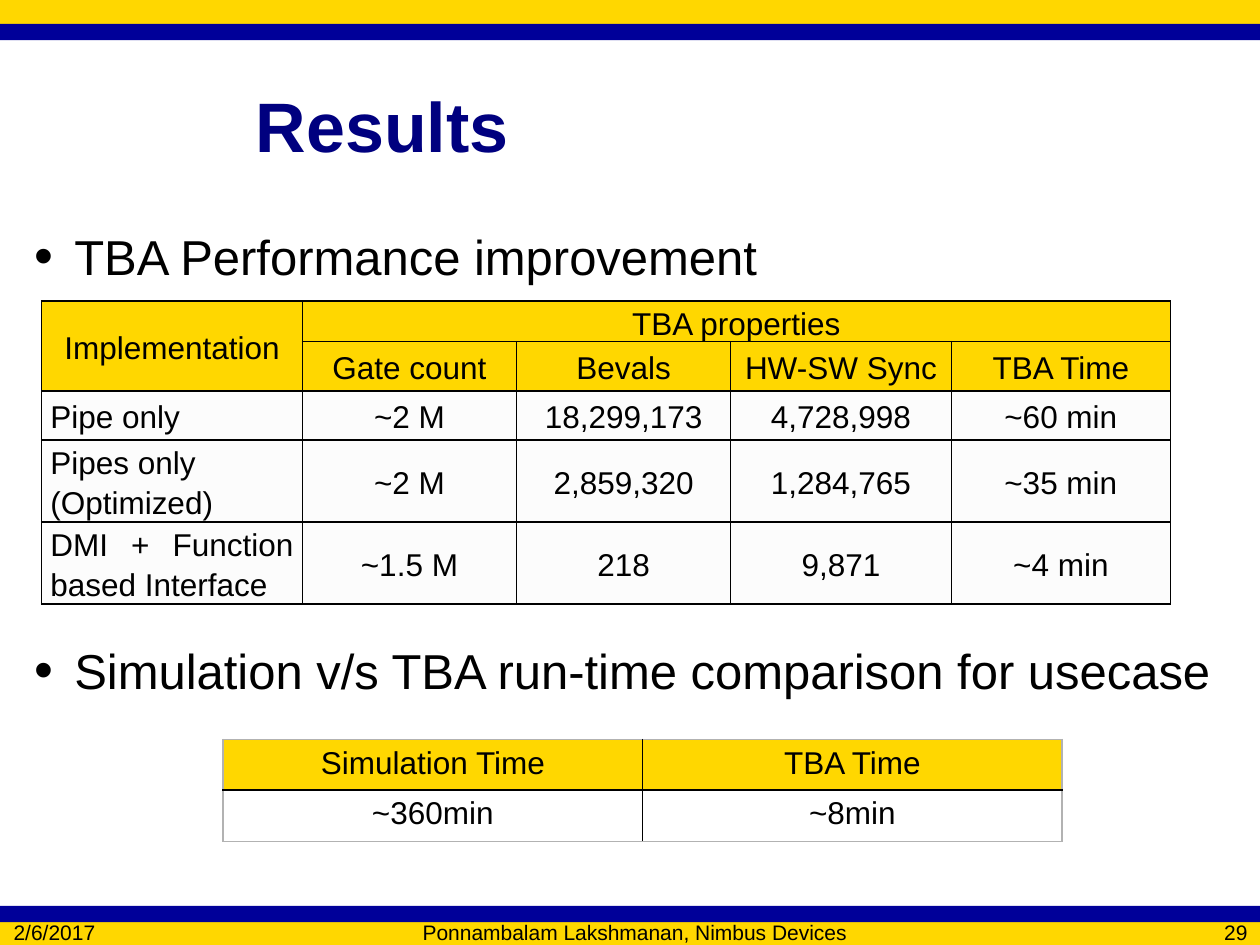
"""Build the Results slide with two comparison tables."""
from lxml.etree import SubElement
from pptx import Presentation
from pptx.dml.color import RGBColor
from pptx.enum.shapes import MSO_SHAPE
from pptx.enum.text import MSO_ANCHOR, MSO_AUTO_SIZE, PP_ALIGN
from pptx.oxml import parse_xml
from pptx.oxml.ns import nsdecls, qn
from pptx.util import Inches, Pt

HUES = {"gold": "FFD700", "blue": "000099", "navy": "00007F",
        "black": "000000", "pale": "FCFCFC", "gray": "B2B2B2"}
BANDS = [(0, 0.19, "gold"), (0.19, 0.13, "blue"),
         (7.31, 0.19, "gold"), (7.19, 0.13, "blue")]
TITLE = "Results"
POINTS = [("TBA Performance improvement", 3),
          ("Simulation v/s TBA run-time comparison for usecase", 203)]
FOOTER = [("2/6/2017", 0.01, 1.16, PP_ALIGN.LEFT),
          ("Ponnambalam Lakshmanan, Nimbus Devices", 1.25, 7.58, PP_ALIGN.CENTER),
          ("29", 9, 1, PP_ALIGN.RIGHT)]
PERF = {
    "at": (0.33, 2.39), "cols": [2.07, 1.7, 1.7, 1.75, 1.74],
    "rows": [0.32, 0.39, 0.39, 0.65, 0.65], "heads": 2,
    "body": "pale", "edge": "black",
    "data": [
        ["Implementation", "TBA properties", "", "", ""],
        ["", "Gate count", "Bevals", "HW-SW Sync", "TBA Time"],
        ["Pipe only", "~2 M", "18,299,173", "4,728,998", "~60 min"],
        ["Pipes only (Optimized)", "~2 M", "2,859,320", "1,284,765", "~35 min"],
        ["DMI + Function based Interface", "~1.5 M", "218", "9,871", "~4 min"],
    ],
}
TIMES = {
    "at": (1.77, 5.87), "cols": [3.33, 3.33], "rows": [0.38, 0.41],
    "heads": 1, "body": None, "edge": "gray",
    "data": [["Simulation Time", "TBA Time"], ["~360min", "~8min"]],
}


def color(name):
    return RGBColor.from_string(HUES[name])


def place(shape, left, top, width, height):
    shape.left, shape.top = Inches(left), Inches(top)
    shape.width, shape.height = Inches(width), Inches(height)


def style(para, size, hue="black", bold=False, align=None):
    para.alignment = align
    for run in para.runs:
        font = run.font
        font.name, font.size, font.bold = "Arial", Pt(size), bold
        font.color.rgb = color(hue)


def bullet(para):
    props = para._p.get_or_add_pPr()
    props.set("marL", str(Inches(0.32)))
    props.set("indent", str(-Inches(0.32)))
    tint = SubElement(props, qn("a:buClr"))
    SubElement(tint, qn("a:srgbClr"), val=HUES["black"])
    SubElement(props, qn("a:buSzPct"), val="110000")
    SubElement(props, qn("a:buFont"), typeface="Arial")
    SubElement(props, qn("a:buChar"), char="•")


def border(cell, edges):
    props = cell._tc.get_or_add_tcPr()
    for side, hue in edges.items():
        props.append(parse_xml(
            f'<a:ln{side} {nsdecls("a")} w="{Pt(1)}"><a:solidFill>'
            f'<a:srgbClr val="{HUES[hue]}"/></a:solidFill></a:ln{side}>'))


def grid(slide, info):
    cols, rows, edge = info["cols"], info["rows"], info["edge"]
    sizes = [*info["at"], sum(cols), sum(rows)]
    table = slide.shapes.add_table(
        len(rows), len(cols), *map(Inches, sizes)).table
    table.first_row = table.horz_banding = False
    for col, width in zip(table.columns, cols):
        col.width = Inches(width)
    for row, height in zip(table.rows, rows):
        row.height = Inches(height)
    for r, line in enumerate(info["data"]):
        for c, text in enumerate(line):
            cell = table.cell(r, c)
            border(cell, {
                "L": "black" if c else edge,
                "R": "black" if c < len(cols) - 1 else edge,
                "T": "black" if r else edge,
                "B": "black" if r < len(rows) - 1 else edge})
            fill = "gold" if r < info["heads"] else info["body"]
            if fill:
                cell.fill.solid()
                cell.fill.fore_color.rgb = color(fill)
            else:
                cell.fill.background()
            cell.text_frame.text = text
            style(cell.text_frame.paragraphs[0], 18, align=PP_ALIGN.CENTER)
    return table


def main():
    deck = Presentation()
    deck.slide_width, deck.slide_height = Inches(10), Inches(7.5)
    slide = deck.slides.add_slide(deck.slide_layouts[1])

    for top, height, hue in BANDS:
        band = slide.shapes.add_shape(
            MSO_SHAPE.RECTANGLE, 0, Inches(top), Inches(10), Inches(height))
        band.shadow.inherit = False
        band.fill.solid()
        band.fill.fore_color.rgb = color(hue)
        band.line.fill.background()

    title = slide.shapes.title
    place(title, 1.93, 0.36, 7.9, 1.25)
    title.text_frame.text = TITLE
    title.text_frame.vertical_anchor = MSO_ANCHOR.MIDDLE
    style(title.text_frame.paragraphs[0], 40, "navy", True, PP_ALIGN.LEFT)

    body = slide.placeholders[1]
    place(body, 0.17, 1.75, 9.67, 5.33)
    frame = body.text_frame
    frame.text = "\n".join(text for text, gap in POINTS)
    frame.auto_size = MSO_AUTO_SIZE.NONE
    for para, (text, gap) in zip(frame.paragraphs, POINTS):
        para.space_before = Pt(gap)
        bullet(para)
        style(para, 28)

    perf = grid(slide, PERF)
    for row in perf.rows:
        for cell in row.cells:
            cell.vertical_anchor = MSO_ANCHOR.MIDDLE
            cell.margin_left = cell.margin_right = Inches(0.07)
            cell.margin_top = cell.margin_bottom = 0
            cell.text_frame.paragraphs[0].line_spacing = 1.15
    for r, align in enumerate(
            [PP_ALIGN.JUSTIFY, PP_ALIGN.LEFT, PP_ALIGN.JUSTIFY], 2):
        perf.cell(r, 0).text_frame.paragraphs[0].alignment = align
    perf.cell(0, 0).merge(perf.cell(1, 0))
    perf.cell(0, 1).merge(perf.cell(0, 4))

    for text, left, width, align in FOOTER:
        box = slide.shapes.add_textbox(
            Inches(left), Inches(7.31), Inches(width), Inches(0.17))
        frame = box.text_frame
        frame.word_wrap = True
        frame.vertical_anchor = MSO_ANCHOR.MIDDLE
        frame.margin_top = frame.margin_bottom = 0
        frame.text = text
        style(frame.paragraphs[0], 12, align=align)

    grid(slide, TIMES)
    deck.save("out.pptx")


if __name__ == "__main__":
    main()
